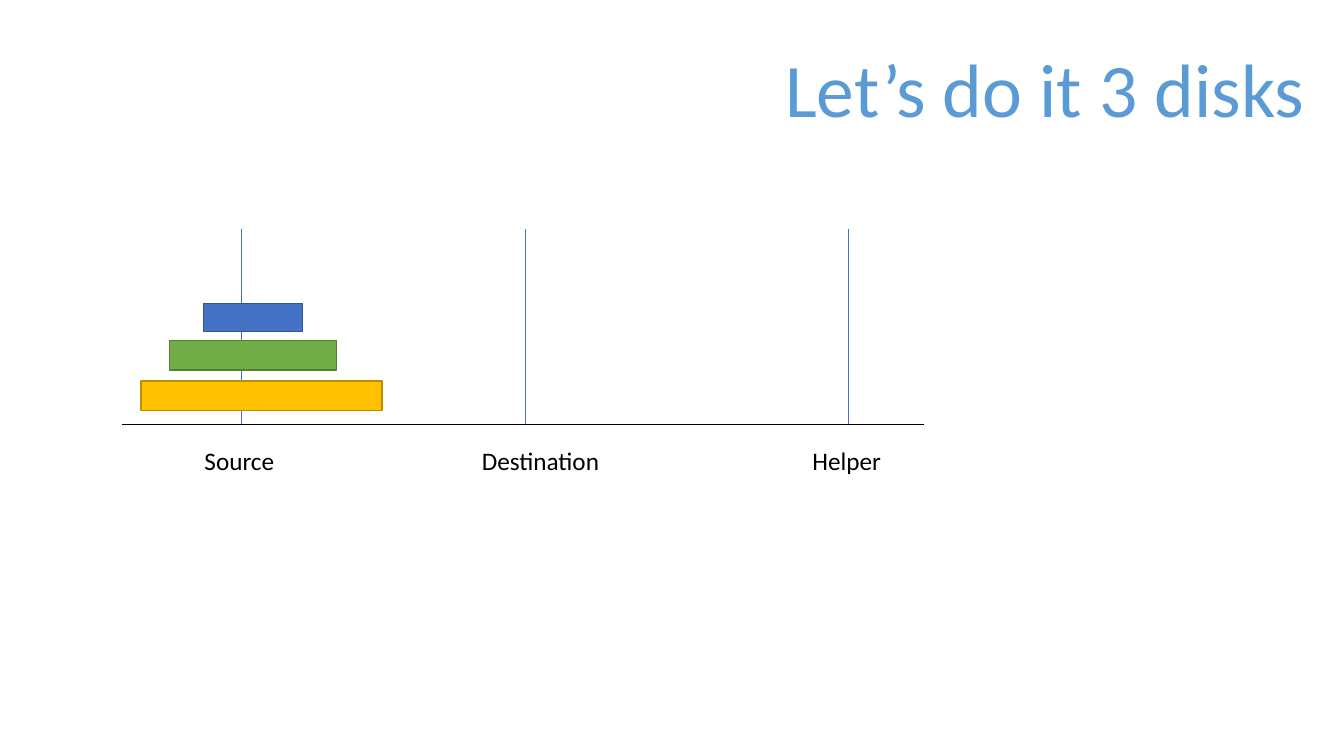
from dataclasses import dataclass

from pptx import Presentation
from pptx.dml.color import RGBColor
from pptx.enum.shapes import MSO_CONNECTOR as Connector, MSO_SHAPE as Shape
from pptx.enum.text import MSO_AUTO_SIZE as AutoSize, PP_ALIGN as Align
from pptx.oxml.ns import qn
from pptx.util import Inches, Pt
from lxml.etree import SubElement


@dataclass(frozen=True)
class Theme:
    """Colours, font and sizes of the slide."""
    font: str = "Calibri"
    title_size: int = 54
    label_size: int = 18
    title: str = "5B9BD5"
    black: str = "000000"
    peg: str = "4472C4"
    thin: float = 0.5
    outline: float = 1


THEME = Theme()
TITLE = "Let’s do it 3 disks"

# Peg name, peg x, label left, label width
PEGS = [
    ("Source", 2.39, 1.93, 0.9),
    ("Destination", 5.21, 4.68, 1.38),
    ("Helper", 8.41, 7.96, 0.89),
]
# Disk left, top, width, height, fill, outline
DISKS = [
    (2.02, 3.01, 0.98, 0.28, "4472C4", "325491"),
    (1.68, 3.38, 1.66, 0.29, "70AD47", "538035"),
    (1.4, 3.78, 2.39, 0.29, "FFC000", "BD8E00"),
]
BASE_LEFT, BASE_RIGHT, BASE_Y = 1.21, 9.16, 4.21
PEG_TOP = 2.27
LABEL_TOP, LABEL_HEIGHT = 4.37, 0.4


def color(value):
    """Turn a hex value into a colour."""
    return RGBColor.from_string(value)


def add_text(slide, text, box, *, size, ink, align=Align.LEFT):
    """Add one line of text that does not wrap."""
    shape = slide.shapes.add_textbox(*map(Inches, box))
    frame = shape.text_frame
    frame.word_wrap = False
    frame.auto_size = AutoSize.SHAPE_TO_FIT_TEXT
    paragraph = frame.paragraphs[0]
    paragraph.alignment = align
    run = paragraph.add_run()
    run.text = text
    run.font.name = THEME.font
    run.font.size = Pt(size)
    run.font.color.rgb = color(ink)


def add_line(slide, start, end, ink):
    """Add a thin straight line without a shadow."""
    line = slide.shapes.add_connector(
        Connector.STRAIGHT, *map(Inches, (*start, *end)))
    line.line.color.rgb = color(ink)
    line.line.width = Pt(THEME.thin)
    SubElement(line.element.spPr, qn("a:effectLst"))


def add_disk(slide, box, fill, outline):
    """Add one disk of the tower."""
    disk = slide.shapes.add_shape(Shape.RECTANGLE, *map(Inches, box))
    disk.shadow.inherit = False
    disk.fill.solid()
    disk.fill.fore_color.rgb = color(fill)
    disk.line.color.rgb = color(outline)
    disk.line.width = Pt(THEME.outline)


def build():
    """Build the slide and save it."""
    presentation = Presentation()
    presentation.slide_width = Inches(13.33)
    presentation.slide_height = Inches(7.5)
    slide = presentation.slides.add_slide(presentation.slide_layouts[6])

    add_line(slide, (BASE_LEFT, BASE_Y), (BASE_RIGHT, BASE_Y), THEME.black)
    for name, x, left, width in PEGS:
        add_line(slide, (x, PEG_TOP), (x, BASE_Y), THEME.peg)
        add_text(slide, name, (left, LABEL_TOP, width, LABEL_HEIGHT),
                 size=THEME.label_size, ink=THEME.black)
    for *box, fill, outline in DISKS:
        add_disk(slide, box, fill, outline)
    add_text(slide, TITLE, (7.66, 0.37, 5.41, 1.01),
             size=THEME.title_size, ink=THEME.title, align=Align.CENTER)

    presentation.save("out.pptx")


build()
